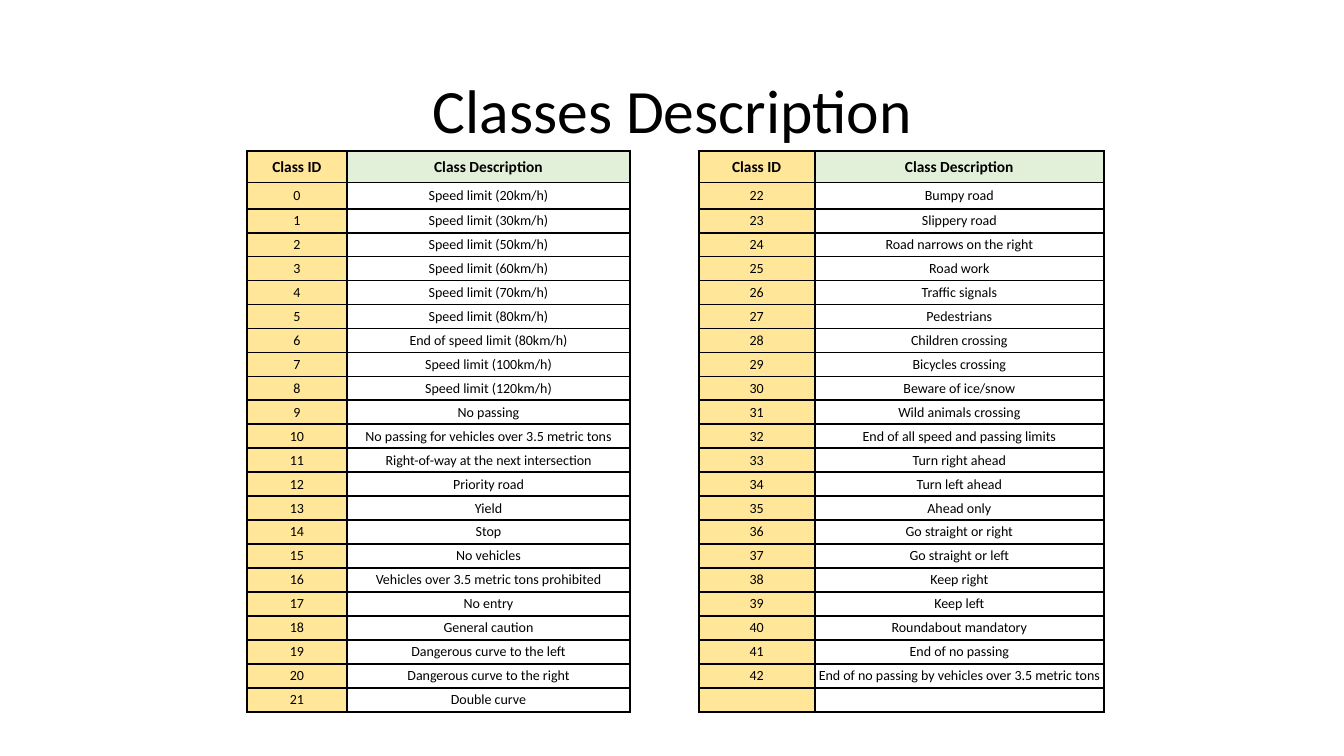
"""Build the slide listing traffic sign classes in two columns."""
from lxml import etree
from pptx import Presentation
from pptx import util as u
from pptx.dml.color import RGBColor
from pptx.enum import text
from pptx.oxml.ns import qn

TITLE = "Classes Description"
HEADER = ("Class ID", "Class Description")
CLASSES = [
    "Speed limit (20km/h)", "Speed limit (30km/h)", "Speed limit (50km/h)",
    "Speed limit (60km/h)", "Speed limit (70km/h)", "Speed limit (80km/h)",
    "End of speed limit (80km/h)", "Speed limit (100km/h)",
    "Speed limit (120km/h)", "No passing",
    "No passing for vehicles over 3.5 metric tons",
    "Right-of-way at the next intersection", "Priority road", "Yield", "Stop",
    "No vehicles", "Vehicles over 3.5 metric tons prohibited", "No entry",
    "General caution", "Dangerous curve to the left",
    "Dangerous curve to the right", "Double curve", "Bumpy road",
    "Slippery road", "Road narrows on the right", "Road work",
    "Traffic signals", "Pedestrians", "Children crossing",
    "Bicycles crossing", "Beware of ice/snow", "Wild animals crossing",
    "End of all speed and passing limits", "Turn right ahead",
    "Turn left ahead", "Ahead only", "Go straight or right",
    "Go straight or left", "Keep right", "Keep left", "Roundabout mandatory",
    "End of no passing", "End of no passing by vehicles over 3.5 metric tons",
]

FONT = "Calibri"
BLACK = RGBColor(0, 0, 0)
ID_FILL = RGBColor(0xFF, 0xE6, 0x99)
HEADER_FILL = RGBColor(0xE2, 0xF0, 0xD9)
COLUMN_WIDTHS = (0.99, 2.81, 0.68, 1.15, 2.87)
ID_COLUMNS = (0, 3)
GAP_COLUMN = 2
TABLE_HEIGHT = 5.57
HEADER_HEIGHT = 0.31
FIRST_HEIGHT = 0.26
BORDER_WIDTH = u.Pt(1.5)


def set_borders(cell, black_sides):
    """Draw the given sides in black and hide the others."""
    properties = cell._tc.get_or_add_tcPr()
    for side in "LRTB":
        line = etree.SubElement(properties, qn(f"a:ln{side}"), w=str(BORDER_WIDTH))
        if side in black_sides:
            fill = etree.SubElement(line, qn("a:solidFill"))
            etree.SubElement(fill, qn("a:srgbClr"), val=str(BLACK))
        else:
            etree.SubElement(line, qn("a:noFill"))


def style_paragraph(paragraph, size, bold=False):
    """Centre a paragraph and set its font."""
    paragraph.alignment = text.PP_ALIGN.CENTER
    paragraph.font.name = FONT
    paragraph.font.size = u.Pt(size)
    paragraph.font.bold = bold
    paragraph.font.color.rgb = BLACK


def fill_cell(cell, content, row, column):
    """Write and format one table cell."""
    is_header = row == 0
    cell.text = content
    cell.vertical_anchor = text.MSO_ANCHOR.MIDDLE
    margin = u.Inches(0 if is_header else 0.03)
    cell.margin_left = cell.margin_right = margin
    cell.margin_top = cell.margin_bottom = margin
    paragraph = cell.text_frame.paragraphs[0]
    size = 11 if is_header else 10
    style_paragraph(paragraph, size, is_header)
    if not content:
        etree.SubElement(paragraph._p, qn("a:endParaRPr"), sz=str(size * 100))
    set_borders(cell, "LR" if column == GAP_COLUMN else "LRTB")
    if column in ID_COLUMNS:
        cell.fill.solid()
        cell.fill.fore_color.rgb = ID_FILL
    elif is_header and column != GAP_COLUMN:
        cell.fill.solid()
        cell.fill.fore_color.rgb = HEADER_FILL
    else:
        cell.fill.background()


def add_title(slide):
    """Add the slide title."""
    box = slide.shapes.add_textbox(
        u.Inches(0.92), u.Inches(0.4), u.Inches(11.5), u.Inches(1.45))
    frame = box.text_frame
    frame.word_wrap = True
    frame.vertical_anchor = text.MSO_ANCHOR.MIDDLE
    paragraph = frame.paragraphs[0]
    paragraph.text = TITLE
    paragraph.line_spacing = 0.9
    style_paragraph(paragraph, 44)


def add_class_table(slide):
    """Add the table with both halves of the class list."""
    half = (len(CLASSES) + 1) // 2
    entries = [(str(number), name) for number, name in enumerate(CLASSES)]
    entries += [("", "")] * (2 * half - len(entries))
    rows = [(*HEADER, "", *HEADER)]
    rows += [(*left, "", *right)
             for left, right in zip(entries[:half], entries[half:])]

    table = slide.shapes.add_table(
        len(rows), len(COLUMN_WIDTHS), u.Inches(2.45), u.Inches(1.5),
        u.Inches(sum(COLUMN_WIDTHS)), u.Inches(TABLE_HEIGHT)).table
    table.first_row = table.horz_banding = False
    for column, width in zip(table.columns, COLUMN_WIDTHS):
        column.width = u.Inches(width)
    other_height = (TABLE_HEIGHT - HEADER_HEIGHT - FIRST_HEIGHT) / (half - 1)
    heights = [HEADER_HEIGHT, FIRST_HEIGHT] + [other_height] * (half - 1)
    for row, (contents, height) in enumerate(zip(rows, heights)):
        table.rows[row].height = u.Inches(height)
        for column, content in enumerate(contents):
            fill_cell(table.cell(row, column), content, row, column)


def main():
    """Create and save the presentation."""
    presentation = Presentation()
    presentation.slide_width = u.Inches(13.33)
    presentation.slide_height = u.Inches(7.5)
    slide = presentation.slides.add_slide(presentation.slide_layouts[6])
    add_title(slide)
    add_class_table(slide)
    presentation.save("out.pptx")


if __name__ == "__main__":
    main()
